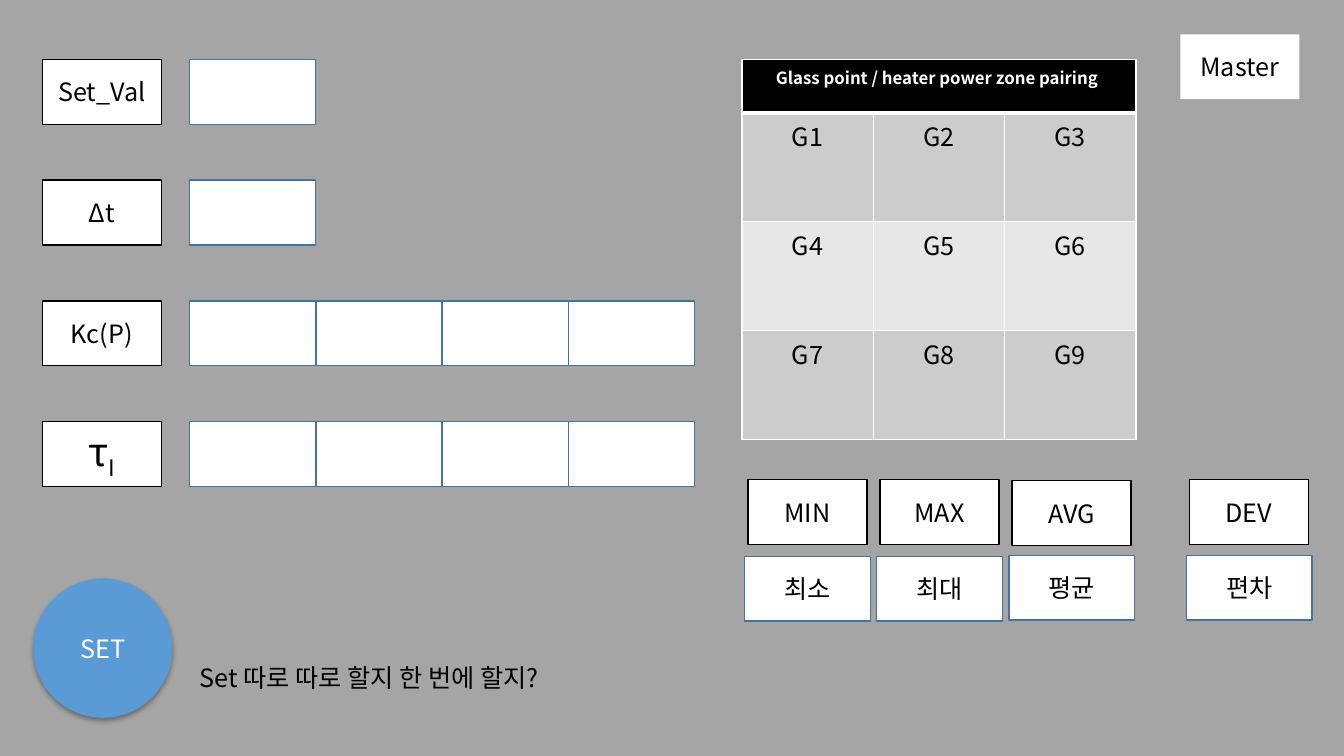
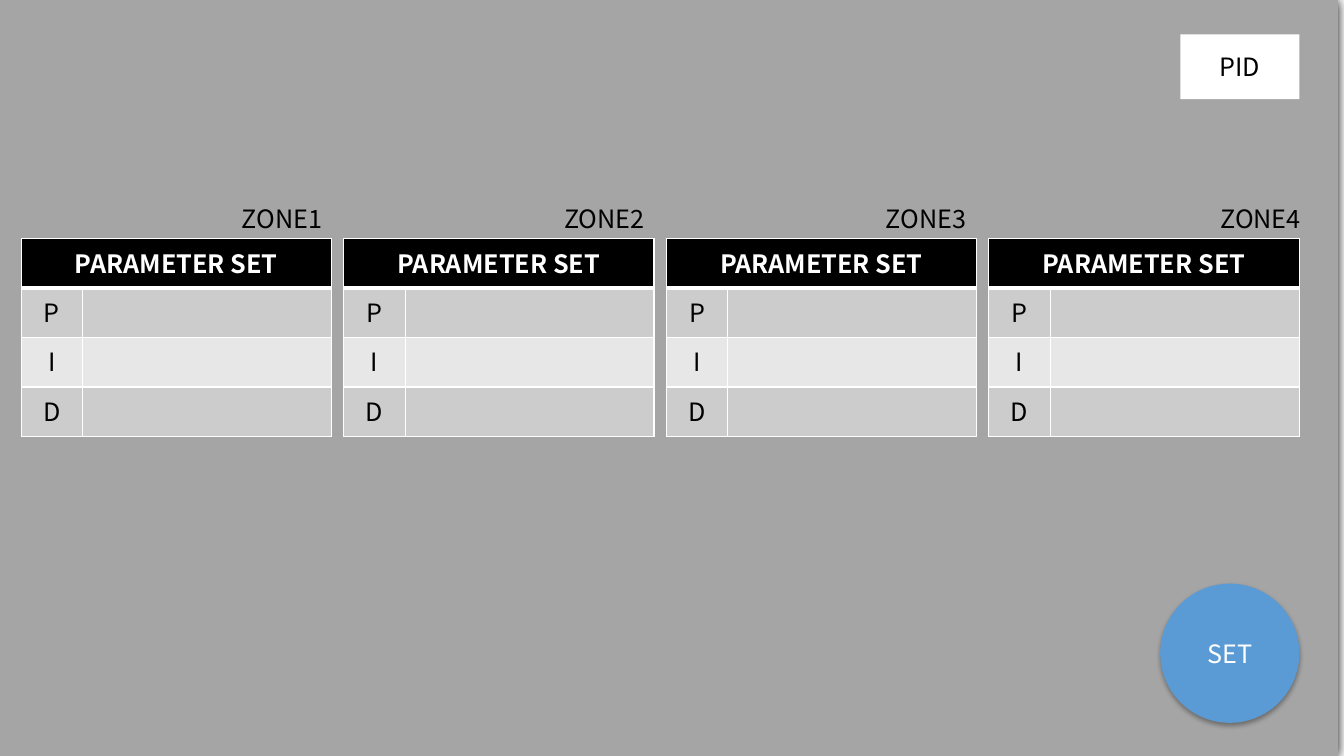
import pptx
import pptx.util
import pptx.dml.color
import pptx.enum.shapes
import pptx.enum.text
import pptx.oxml
import pptx.oxml.ns

Pt = pptx.util.Pt
RGB = pptx.dml.color.RGBColor
SHAPE = pptx.enum.shapes.MSO_SHAPE
ALIGN = pptx.enum.text.PP_ALIGN

FONT = "Noto Sans CJK KR"
BLACK = RGB(0x00, 0x00, 0x00)
WHITE = RGB(0xFF, 0xFF, 0xFF)
GREY = RGB(0xA5, 0xA5, 0xA5)
BAND_DARK = RGB(0xCC, 0xCC, 0xCC)
BAND_LIGHT = RGB(0xE7, 0xE7, 0xE7)
BLUE = RGB(0x5B, 0x9B, 0xD5)
FIELD_LINE = RGB(0x43, 0x73, 0x9E)

SLIDE_W, SLIDE_H = 960, 540
LABEL_W, FIELD_W, BOX_H = 85, 90, 46.3
BUTTON_D = 99.4


def add_text(tf, text, size=18, color=BLACK, bold=False, align=ALIGN.CENTER, baseline=None):
    """Append a formatted run to the first paragraph of a text frame."""
    p = tf.paragraphs[0]
    p.alignment = align
    r = p.add_run()
    r.text = text
    r.font.name = FONT
    r.font.size = Pt(size)
    r.font.bold = bold
    r.font.color.rgb = color
    rpr = r.font._element
    rpr.append(rpr.makeelement(pptx.oxml.ns.qn("a:ea"), {"typeface": FONT}))
    if baseline:
        rpr.set("baseline", str(baseline * 1000))


def add_shadow(sp, alpha, blur, distance):
    """Give a shape a black shadow that falls straight down."""
    sp._element.spPr.append(pptx.oxml.parse_xml(
        f'<a:effectLst {pptx.oxml.ns.nsdecls("a")}>'
        f'<a:outerShdw blurRad="{Pt(blur)}" dist="{Pt(distance)}" dir="5400000" '
        f'algn="ctr" rotWithShape="0"><a:srgbClr val="{BLACK}">'
        f'<a:alpha val="{alpha * 1000}"/></a:srgbClr></a:outerShdw></a:effectLst>'))


def add_box(s, x, y, w, h, text="", fill=WHITE, line=None, color=BLACK,
            kind=SHAPE.RECTANGLE, shadow=None):
    """Draw a filled shape with centred text and an optional outline or shadow."""
    sp = s.shapes.add_shape(kind, Pt(x), Pt(y), Pt(w), Pt(h))
    sp.fill.solid()
    sp.fill.fore_color.rgb = fill
    if line is None:
        sp.line.fill.background()
    else:
        sp.line.color.rgb = line
        sp.line.width = Pt(1)
    if shadow:
        add_shadow(sp, *shadow)
    else:
        sp.shadow.inherit = False
    if text:
        sp.text_frame.vertical_anchor = pptx.enum.text.MSO_ANCHOR.MIDDLE
        add_text(sp.text_frame, text, color=color)
    return sp


def add_label(s, x, y, text):
    """Draw a black-edged label."""
    add_box(s, x, y, LABEL_W, BOX_H, text, line=BLACK)


def add_field(s, x, y, text=""):
    """Draw a blue-edged value field."""
    add_box(s, x, y, FIELD_W, BOX_H, text, line=FIELD_LINE)


def add_set_button(s, x, y):
    """Draw the round SET button."""
    add_box(s, x, y, BUTTON_D, BUTTON_D, "SET", fill=BLUE, color=WHITE,
            kind=SHAPE.OVAL, shadow=(32, 3.5, 2.2))


def add_note(s, x, y, w, text, wrap=True):
    """Add a left-aligned line of text without a frame."""
    tf = s.shapes.add_textbox(Pt(x), Pt(y), Pt(w), Pt(28.8)).text_frame
    tf.word_wrap = wrap
    tf.auto_size = pptx.enum.text.MSO_AUTO_SIZE.SHAPE_TO_FIT_TEXT
    add_text(tf, text, align=ALIGN.LEFT)


def set_borders(cell, top=1, bottom=1):
    """Set white borders on the four sides of a cell."""
    tcpr = cell._tc.get_or_add_tcPr()
    for side, width in (("L", 1), ("R", 1), ("T", top), ("B", bottom)):
        tcpr.append(pptx.oxml.parse_xml(
            f'<a:ln{side} {pptx.oxml.ns.nsdecls("a")} w="{Pt(width)}"><a:solidFill>'
            f'<a:srgbClr val="{WHITE}"/></a:solidFill></a:ln{side}>'))


def add_grid(s, x, y, widths, heights, title, rows, title_size=18):
    """Add a banded table under one merged black header."""
    frame = s.shapes.add_table(len(heights), len(widths), Pt(x), Pt(y),
                               Pt(sum(widths)), Pt(sum(heights)))
    table = frame.table
    table.horz_banding = False
    for column, width in zip(table.columns, widths):
        column.width = Pt(width)
    for row, height in zip(table.rows, heights):
        row.height = Pt(height)
    header = [title] + [""] * (len(widths) - 1)
    for i, texts in enumerate([header] + rows):
        for j, text in enumerate(texts):
            cell = table.cell(i, j)
            set_borders(cell, top=3 if i == 1 else 1, bottom=3 if i == 0 else 1)
            cell.fill.solid()
            cell.fill.fore_color.rgb = BLACK if i == 0 else BAND_DARK if i % 2 else BAND_LIGHT
            if text:
                add_text(cell.text_frame, text, size=title_size if i == 0 else 18,
                         color=WHITE if i == 0 else BLACK, bold=i == 0)
    table.cell(0, 0).merge(table.cell(0, len(widths) - 1))


def add_screen(prs, name, x=0):
    """Add a slide with the grey panel and the name of the screen."""
    s = prs.slides.add_slide(prs.slide_layouts[6])
    add_box(s, x, 0, SLIDE_W, SLIDE_H, fill=GREY, shadow=(100, 8.5, 1))
    add_box(s, 843.1, 24.5, LABEL_W, BOX_H, name)
    return s


def build_master(prs):
    """Build the screen with set values, glass points and statistics."""
    s = add_screen(prs, "Master")
    points = [[f"G{3 * i + j}" for j in (1, 2, 3)] for i in range(3)]
    add_grid(s, 530, 42.5, [93.8] * 3, [38] + [77.8] * 3,
             "Glass point / heater power zone pairing ", points, title_size=12)

    settings = [("Set_Val", 1), ("Δt", 1), ("Kc(P)", 4), ("", 4)]
    for i, (text, count) in enumerate(settings):
        y = 42.5 + 86.2 * i
        if text:
            add_label(s, 30.2, y, text)
        for j in range(count):
            add_field(s, 135.4 + 90.24 * j, y)
    tau = add_box(s, 30.2, y, LABEL_W, BOX_H, line=BLACK)
    tau.text_frame.vertical_anchor = pptx.enum.text.MSO_ANCHOR.MIDDLE
    add_text(tau.text_frame, "τ", size=28)
    add_text(tau.text_frame, "I", size=28, baseline=-25)

    statistics = [(534.2, 342.7, 397.4, "MIN", "최소"), (628.6, 342.7, 397.4, "MAX", "최대"),
                  (722.9, 343.4, 396.7, "AVG", "평균"), (849.6, 342.7, 396.7, "DEV", "편차")]
    for x, label_y, field_y, label, value in statistics:
        add_label(s, x, label_y, label)
        add_field(s, x - 2.3, field_y, value)

    add_set_button(s, 23.8, 413.3)
    add_note(s, 135.4, 469.4, 278.6, "Set 따로 따로 할지 한 번에 할지?")


def build_pid(prs):
    """Build the screen with one parameter table per zone."""
    s = add_screen(prs, "PID", x=-4.3)
    add_set_button(s, 828.7, 416.9)
    for i, label_x in enumerate((165.6, 396, 625.7, 864.7)):
        add_grid(s, 15.1 + 230.4 * i, 170.6, [43.9, 177.8], [35.3] * 4,
                 "PARAMETER SET", [["P", ""], ["I", ""], ["D", ""]])
        add_note(s, label_x, 142, 72, f"ZONE{i + 1}", wrap=False)


def main():
    """Build both screens and save the file."""
    prs = pptx.Presentation()
    prs.slide_width, prs.slide_height = Pt(SLIDE_W), Pt(SLIDE_H)
    build_master(prs)
    build_pid(prs)
    prs.save("out.pptx")


main()
